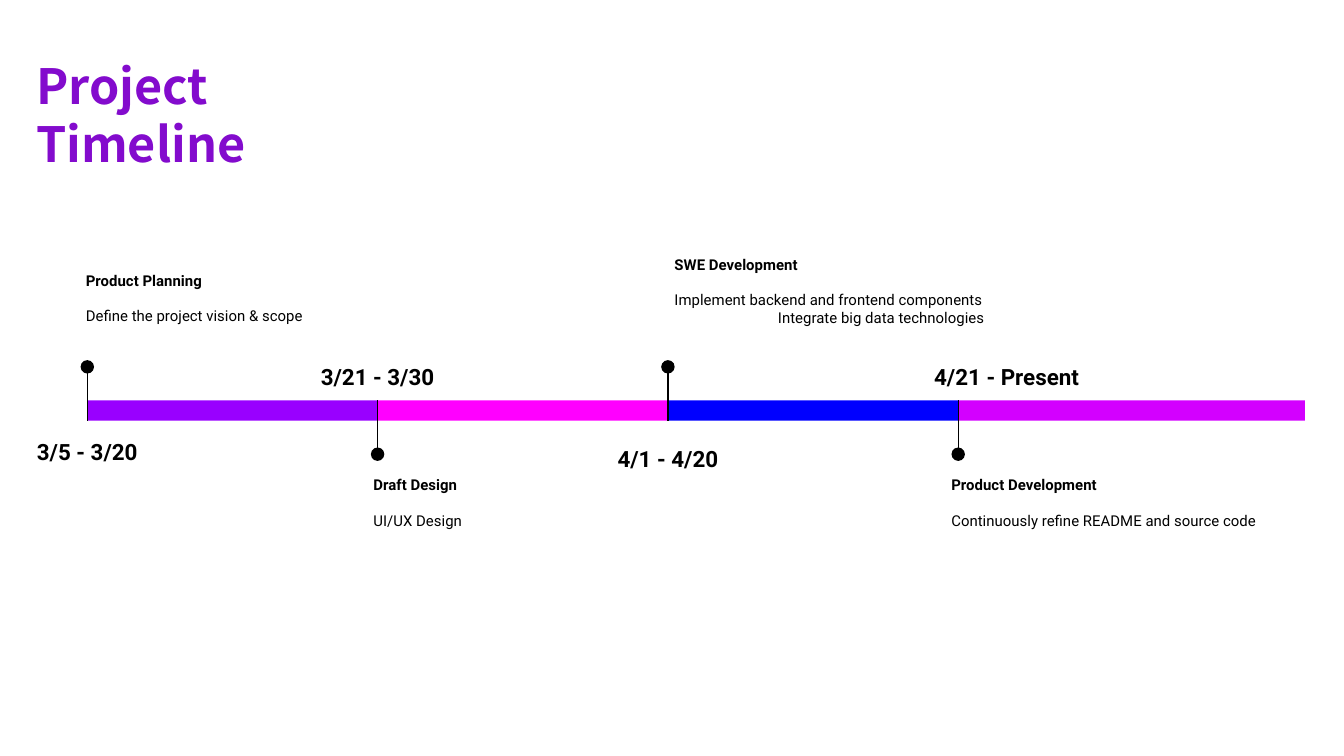
from dataclasses import dataclass

from lxml import etree
from pptx import Presentation
from pptx.dml.color import RGBColor
from pptx.enum.shapes import MSO_CONNECTOR as Connector, MSO_SHAPE as Shape
from pptx.enum.text import PP_ALIGN as Align
from pptx.oxml.ns import qn
from pptx.util import Inches, Pt

BLACK = "000000"
BODY_FONT = "Roboto"
BAR_LEFT, BAR_TOP, BAR_HEIGHT = 0.65, 2.98, 0.15
STEP = 2.16
DOT = 0.1
STEM = 0.25


@dataclass
class Milestone:
    date: str
    heading: str
    details: list
    color: str
    above: bool
    date_top: float
    date_width: float
    note_top: float
    note_shift: float
    note_width: float
    width: float = STEP
    date_shift: float = 0


MILESTONES = [
    Milestone("3/5 - 3/20", "Product Planning",
              [("Define the project vision & scope", 0)],
              "9900FF", True, 3.13, 0.96, 1.92, -0.11, 2.21),
    Milestone("3/21 - 3/30", "Draft Design", [("UI/UX Design", 0)],
              "FF00FF", False, 2.57, 1.06, 3.44, -0.13, 2.48),
    Milestone("4/1 - 4/20", "SWE Development",
              [("Implement backend and frontend components", 0),
               ("Integrate big data technologies", 0.77)],
              "0000FF", True, 3.18, 1.11, 1.8, -0.05, 2.88),
    Milestone("4/21 - Present", "Product Development",
              [("Continuously refine README and source code", 0)],
              "D300FF", False, 2.57, 1.91, 3.44, -0.15, 2.68,
              width=2.58, date_shift=0.36),
]


def rgb(value):
    return RGBColor.from_string(value)


def add_text_box(page, left, top, width, height):
    frame = page.shapes.add_textbox(
        Inches(left), Inches(top), Inches(width), Inches(height)).text_frame
    frame.word_wrap = True
    frame.margin_left = frame.margin_right = Inches(0.1)
    frame.margin_top = frame.margin_bottom = Inches(0.1)
    return frame


def add_span(para, text, size, bold=True, font=BODY_FONT, color=BLACK):
    span = para.add_run()
    span.text = text
    span.font.name = font
    span.font.size = Pt(size)
    span.font.bold = bold
    span.font.color.rgb = rgb(color)


def add_solid(page, kind, left, top, width, height, color):
    shape = page.shapes.add_shape(
        kind, Inches(left), Inches(top), Inches(width), Inches(height))
    shape.shadow.inherit = False
    shape.fill.solid()
    shape.fill.fore_color.rgb = rgb(color)
    shape.line.fill.background()


def add_title(page, left, top, width, height):
    para = add_text_box(page, left, top, width, height).paragraphs[0]
    para.line_spacing = Pt(31)
    add_span(para, "Project Timeline", 26, font="Noto Sans CJK KR", color="830BCD")


def add_pin(page, x, above):
    """Draw a stem across the bar that ends in a dot above or below it."""
    bar_bottom = BAR_TOP + BAR_HEIGHT
    start, end = (bar_bottom, BAR_TOP - STEM) if above else (BAR_TOP, bar_bottom + STEM)
    stem = page.shapes.add_connector(
        Connector.STRAIGHT, Inches(x), Inches(start), Inches(x), Inches(end))
    stem.line.color.rgb = rgb(BLACK)
    stem.line.width = Pt(0.75)
    etree.SubElement(stem._element.spPr, qn("a:effectLst"))
    add_solid(page, Shape.OVAL, x - DOT / 2, end - DOT / 2, DOT, DOT, BLACK)


def add_date(page, text, center, top, width):
    para = add_text_box(page, center - width / 2, top, width, 0.41).paragraphs[0]
    para.alignment = Align.CENTER
    para.line_spacing = 1.15
    add_span(para, text, 12)


def add_note(page, heading, details, left, top, width):
    frame = add_text_box(page, left, top, width, 0.77)
    para = frame.paragraphs[0]
    para.space_after = Pt(9.4)
    add_span(para, heading, 8)
    for text, indent in details:
        para = frame.add_paragraph()
        para._p.get_or_add_pPr().set("marL", str(Inches(indent)))
        add_span(para, text, 8, bold=False)


def add_milestone(page, item, x):
    add_solid(page, Shape.RECTANGLE, x, BAR_TOP, item.width, BAR_HEIGHT, item.color)
    add_pin(page, x, item.above)
    add_date(page, item.date, x + item.date_shift, item.date_top, item.date_width)
    add_note(page, item.heading, item.details,
             x + item.note_shift, item.note_top, item.note_width)


def main():
    deck = Presentation()
    deck.slide_width = Inches(10)
    deck.slide_height = deck.slide_width * 9 // 16
    page = deck.slides.add_slide(deck.slide_layouts[6])
    add_title(page, 0.17, 0.32, 2.95, 0.59)
    for index, item in enumerate(MILESTONES):
        add_milestone(page, item, BAR_LEFT + index * STEP)
    deck.save("out.pptx")


if __name__ == "__main__":
    main()
